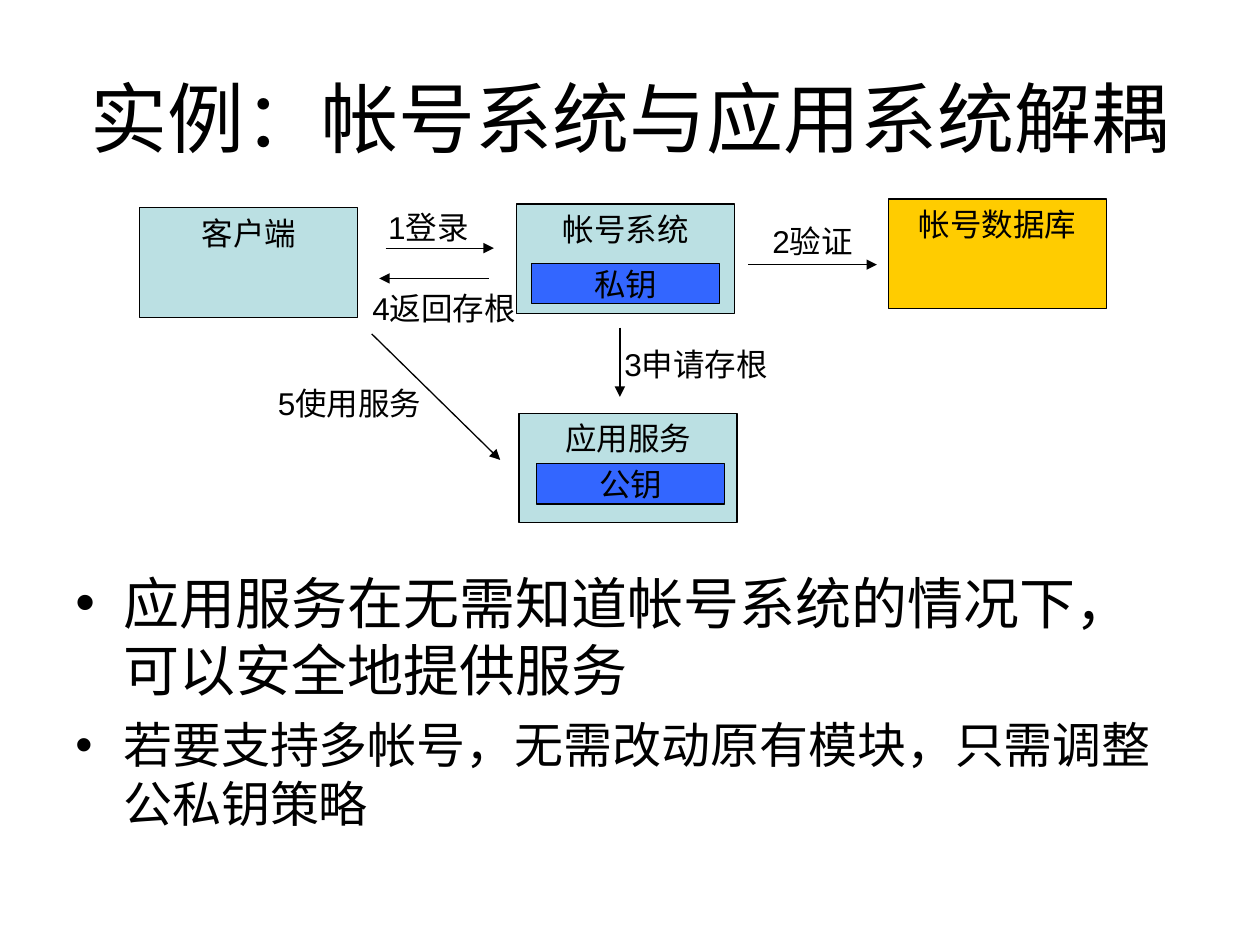
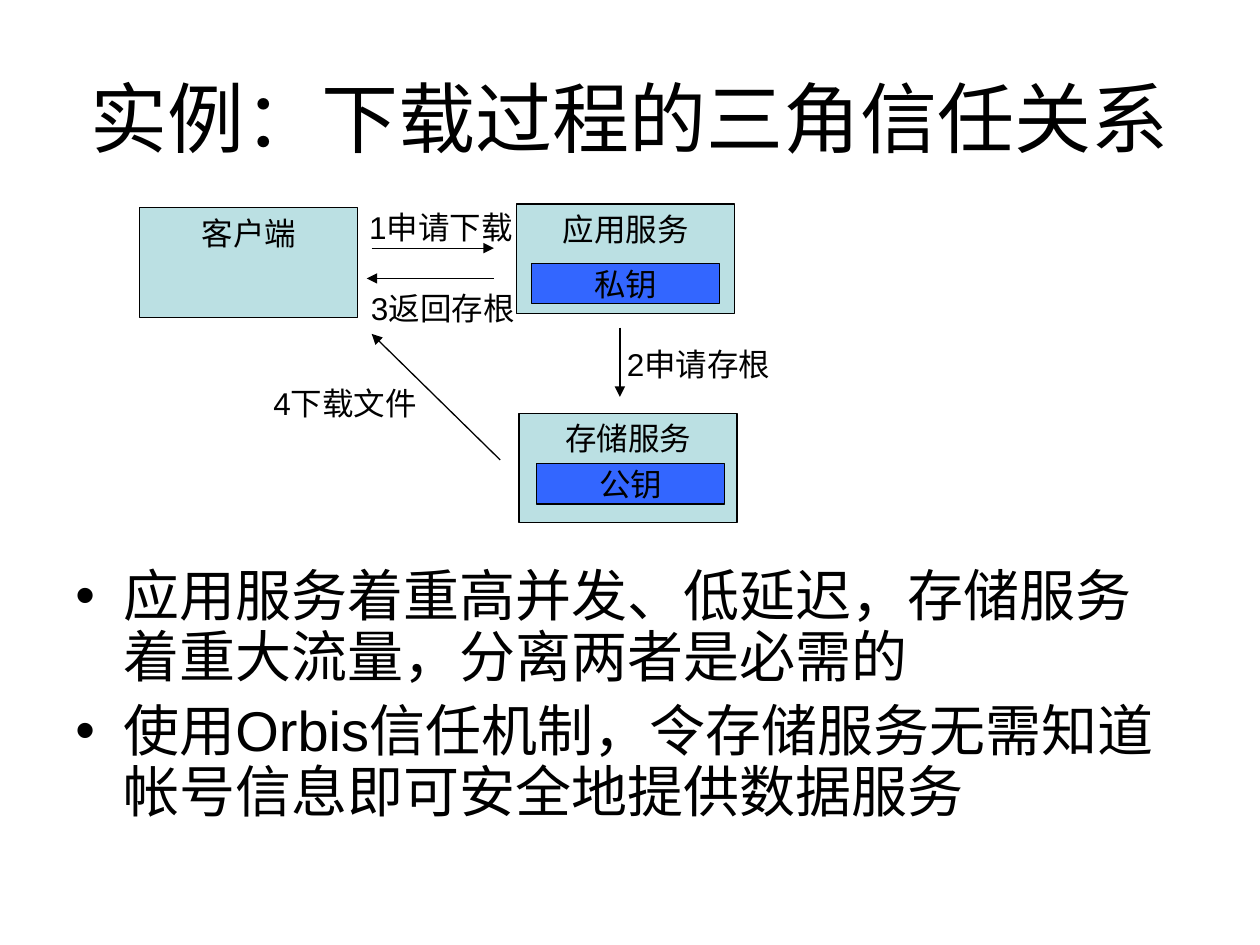
from typing import Any, NamedTuple

from lxml.etree import SubElement
from pptx import Presentation
from pptx.dml.color import RGBColor
from pptx.enum.shapes import MSO_CONNECTOR, MSO_SHAPE
from pptx.enum.text import MSO_ANCHOR, MSO_AUTO_SIZE, PP_ALIGN
from pptx.oxml.ns import qn
from pptx.util import Inches, Pt

FONT = "Arial"
BLACK, PALE_TEAL, KEY_BLUE, AMBER = "000000", "BBE0E3", "3366FF", "FFCC00"
LINE_WIDTH = Pt(0.75)
BODY_INDENT = Inches(0.38)
FRAME_FORMAT = {
    "margin_left": Inches(0.1), "margin_right": Inches(0.1),
    "margin_top": Inches(0.05), "margin_bottom": Inches(0.05),
    "auto_size": MSO_AUTO_SIZE.NONE,
}


class Box(NamedTuple):
    text: str
    left: float
    top: float
    width: float = 1.73
    height: float = 0.87
    fill: str = PALE_TEAL
    anchor: MSO_ANCHOR = MSO_ANCHOR.TOP


class Label(NamedTuple):
    text: str
    left: float
    top: float


class Arrow(NamedTuple):
    """A line whose arrowhead is at its end."""
    start: tuple[float, float]
    end: tuple[float, float]


class Bullet(NamedTuple):
    text: str
    size: int = 32
    space_before: int = 8


class FlowSlide(NamedTuple):
    title: str
    boxes: list[Box]
    arrows: list[Arrow]
    labels: list[Label]
    bullets: list[Bullet]
    line_spacing: float


def key_box(text: str, left: float, top: float) -> Box:
    return Box(text, left, top, 1.49, 0.32, KEY_BLUE, MSO_ANCHOR.MIDDLE)


def service_boxes(account_side: str, resource_side: str) -> list[Box]:
    """Return the client and the two key-holding services of the trust triangle."""
    return [
        Box("客户端", 1.11, 1.65),
        Box(account_side, 4.1, 1.62),
        Box(resource_side, 4.12, 3.28),
        key_box("私钥", 4.22, 2.09),
        key_box("公钥", 4.26, 3.68),
    ]


CLIENT_CORNER, SERVICE_CORNER = (2.95, 2.65), (3.97, 3.65)
TICKET_REQUEST = Arrow((4.92, 2.6), (4.92, 3.15))

FLOW_SLIDES = [
    FlowSlide(
        title="实例：帐号系统与应用系统解耦",
        boxes=service_boxes("帐号系统", "应用服务")
        + [Box("帐号数据库", 7.05, 1.58, fill=AMBER)],
        arrows=[
            Arrow((3.06, 1.97), (3.92, 1.97)),
            Arrow((5.94, 2.1), (6.96, 2.1)),
            TICKET_REQUEST,
            Arrow((3.88, 2.21), (3.01, 2.21)),
            Arrow(CLIENT_CORNER, SERVICE_CORNER),
        ],
        labels=[
            Label("1登录", 2.9, 1.64),
            Label("2验证", 5.95, 1.75),
            Label(" 3申请存根", 4.99, 2.73),
            Label(" 4返回存根", 2.99, 2.28),
            Label(" 5使用服务", 2.24, 3.04),
        ],
        bullets=[
            Bullet("应用服务在无需知道帐号系统的情况下，可以安全地提供服务"),
            Bullet("若要支持多帐号，无需改动原有模块，只需调整公私钥策略", 28, 7),
        ],
        line_spacing=1.0,
    ),
    FlowSlide(
        title="实例：下载过程的三角信任关系",
        boxes=service_boxes("应用服务", "存储服务"),
        arrows=[
            Arrow((2.95, 1.97), (3.92, 1.97)),
            TICKET_REQUEST,
            Arrow((3.92, 2.21), (2.91, 2.21)),
            Arrow(SERVICE_CORNER, CLIENT_CORNER),
        ],
        labels=[
            Label("1申请下载", 3, 1.64),
            Label(" 2申请存根", 5.01, 2.73),
            Label(" 3返回存根", 2.98, 2.28),
            Label("4下载文件", 2.24, 3.04),
        ],
        bullets=[
            Bullet("应用服务着重高并发、低延迟，存储服务着重大流量，分离两者是必需的"),
            Bullet("使用Orbis信任机制，令存储服务无需知道帐号信息即可安全地提供数据服务"),
        ],
        line_spacing=0.9,
    ),
]


def color(hex_value: str) -> RGBColor:
    return RGBColor.from_string(hex_value)


def set_attributes(target: Any, values: dict[str, Any]) -> None:
    for name, value in values.items():
        setattr(target, name, value)


def format_frame(shape: Any, anchor: MSO_ANCHOR, wrap: bool) -> None:
    set_attributes(shape.text_frame, FRAME_FORMAT | {"vertical_anchor": anchor, "word_wrap": wrap})


def write_paragraph(paragraph: Any, text: str, size: int, alignment: PP_ALIGN) -> None:
    paragraph.alignment = alignment
    run = paragraph.add_run()
    run.text = text
    set_attributes(run.font, {"name": FONT, "size": Pt(size)})
    run.font.color.rgb = color(BLACK)


def write_centered(shape: Any, text: str, size: int, anchor: MSO_ANCHOR, wrap: bool) -> None:
    format_frame(shape, anchor, wrap)
    write_paragraph(shape.text_frame.paragraphs[0], text, size, PP_ALIGN.CENTER)


def add_title(slide: Any, text: str) -> None:
    title = slide.shapes.title
    set_attributes(title, {"left": Inches(0.5), "top": Inches(0.3),
                           "width": Inches(9), "height": Inches(1.25)})
    write_centered(title, text, 44, MSO_ANCHOR.MIDDLE, True)


def add_box(slide: Any, box: Box) -> None:
    shape = slide.shapes.add_shape(
        MSO_SHAPE.RECTANGLE, Inches(box.left), Inches(box.top),
        Inches(box.width), Inches(box.height))
    shape.shadow.inherit = False
    shape.fill.solid()
    shape.fill.fore_color.rgb = color(box.fill)
    shape.line.color.rgb = color(BLACK)
    shape.line.width = LINE_WIDTH
    write_centered(shape, box.text, 18, box.anchor, False)


def add_label(slide: Any, label: Label) -> None:
    shape = slide.shapes.add_textbox(
        Inches(label.left), Inches(label.top), Inches(1), Inches(0.32))
    write_centered(shape, label.text, 18, MSO_ANCHOR.MIDDLE, False)


def add_arrow(slide: Any, arrow: Arrow) -> None:
    ends = [Inches(value) for value in arrow.start + arrow.end]
    connector = slide.shapes.add_connector(MSO_CONNECTOR.STRAIGHT, *ends)
    connector.line.color.rgb = color(BLACK)
    connector.line.width = LINE_WIDTH
    SubElement(connector.line._get_or_add_ln(), qn("a:tailEnd"), type="triangle")
    SubElement(connector._element.spPr, qn("a:effectLst"))


def add_bullets(slide: Any, bullets: list[Bullet], line_spacing: float) -> None:
    body = slide.shapes.add_textbox(Inches(0.5), Inches(4.46), Inches(9), Inches(2.24))
    format_frame(body, MSO_ANCHOR.TOP, True)
    frame = body.text_frame
    for index, bullet in enumerate(bullets):
        paragraph = frame.add_paragraph() if index else frame.paragraphs[0]
        write_paragraph(paragraph, bullet.text, bullet.size, PP_ALIGN.LEFT)
        set_attributes(paragraph, {"line_spacing": line_spacing,
                                   "space_before": Pt(bullet.space_before)})
        properties = paragraph._p.get_or_add_pPr()
        properties.set("marL", str(BODY_INDENT))
        properties.set("indent", str(-BODY_INDENT))
        bullet_color = SubElement(properties, qn("a:buClr"))
        SubElement(bullet_color, qn("a:srgbClr"), val=BLACK)
        SubElement(properties, qn("a:buFont"), typeface=FONT)
        SubElement(properties, qn("a:buChar"), char="•")


def add_flow_slide(presentation: Any, content: FlowSlide) -> None:
    title_only = presentation.slide_layouts.get_by_name("Title Only")
    slide = presentation.slides.add_slide(title_only)
    add_title(slide, content.title)
    for box in content.boxes:
        add_box(slide, box)
    for arrow in content.arrows:
        add_arrow(slide, arrow)
    for label in content.labels:
        add_label(slide, label)
    add_bullets(slide, content.bullets, content.line_spacing)


def main() -> None:
    presentation = Presentation()
    set_attributes(presentation, {"slide_width": Inches(10), "slide_height": Inches(7.5)})
    for content in FLOW_SLIDES:
        add_flow_slide(presentation, content)
    presentation.save("out.pptx")


if __name__ == "__main__":
    main()
